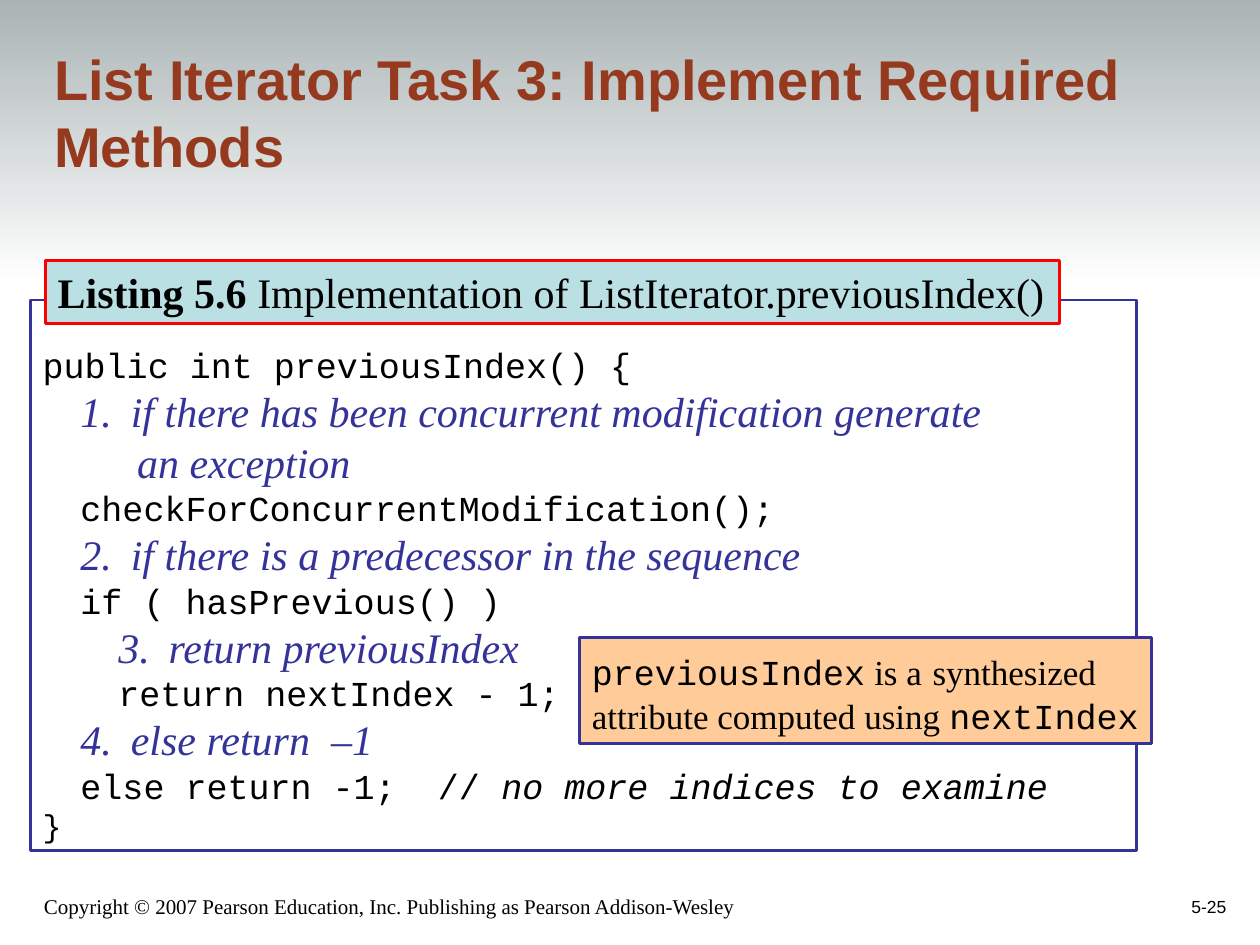
from dataclasses import dataclass

from pptx import Presentation
from pptx.dml.color import RGBColor
from pptx.enum.shapes import MSO_SHAPE
from pptx.enum.text import MSO_ANCHOR, PP_ALIGN
from pptx.util import Inches, Pt

RECT = MSO_SHAPE.RECTANGLE
TOP, BOTTOM = MSO_ANCHOR.TOP, MSO_ANCHOR.BOTTOM
LEFT, RIGHT = PP_ALIGN.LEFT, PP_ALIGN.RIGHT
TITLE_ONLY = 5


@dataclass(frozen=True)
class Theme:
    sans: str = "Arial"
    serif: str = "Times New Roman"
    mono: str = "Courier New"
    black: str = "000000"
    rust: str = "953A1F"
    blue: str = "333399"
    red: str = "FF0000"
    aqua: str = "BBE0E3"
    peach: str = "FFCC99"
    grey: str = "A7B1B2"
    white: str = "FFFFFF"
    title: int = 32
    step: int = 24
    code: int = 20
    small: int = 18
    foot: int = 12
    page: int = 10


T = Theme()


@dataclass(frozen=True)
class Span:
    text: str
    size: float
    font: str
    color: str = T.black
    bold: bool = False
    italic: bool = False


@dataclass(frozen=True)
class Line:
    spans: tuple[Span, ...]
    indent: float = 0


@dataclass(frozen=True)
class Box:
    left: float
    top: float
    width: float
    height: float
    lines: tuple[Line, ...]
    edge: str
    fill: str = ""
    inset: float = 0.05
    wrap: bool = False


def code(text: str, level: int = 0, note: str = "") -> Line:
    spans = [Span(text, T.code, T.mono)]
    if level:
        spans.insert(0, Span("  " * level, T.small, T.mono))
    if note:
        spans.append(Span(note, T.code, T.mono, italic=True))
    return Line(tuple(spans))


def prose(text: str) -> Span:
    return Span(text, T.step, T.serif, T.blue, italic=True)


def step(mark: str, text: str, level: int = 1) -> Line:
    gap = Span(" ", T.small, T.mono, italic=True)
    return Line((prose(mark), gap, prose(text)), 0.3 * level)


def write(frame, lines: tuple[Line, ...], anchor=TOP, align=LEFT) -> None:
    frame.vertical_anchor = anchor
    for i, line in enumerate(lines):
        para = frame.paragraphs[0] if i == 0 else frame.add_paragraph()
        para.alignment = align
        if line.indent:
            para._p.get_or_add_pPr().set("marL", str(Inches(line.indent)))
        for span in line.spans:
            run = para.add_run()
            run.text = span.text
            font = run.font
            font.name, font.size = span.font, Pt(span.size)
            font.bold, font.italic = span.bold, span.italic
            font.color.rgb = RGBColor.from_string(span.color)


def draw_box(slide, box: Box) -> None:
    shape = slide.shapes.add_shape(
        RECT, *map(Inches, (box.left, box.top, box.width, box.height)))
    shape.shadow.inherit = False
    if box.fill:
        shape.fill.solid()
        shape.fill.fore_color.rgb = RGBColor.from_string(box.fill)
    else:
        shape.fill.background()
    shape.line.color.rgb = RGBColor.from_string(box.edge)
    shape.line.width = Pt(1.5)
    frame = shape.text_frame
    frame.word_wrap = box.wrap
    frame.margin_top = Inches(box.inset)
    write(frame, box.lines)


def draw_band(slide) -> None:
    band = slide.shapes.add_shape(
        RECT, 0, Inches(-0.08), Inches(10), Inches(2.33))
    band.shadow.inherit = False
    band.line.fill.background()
    band.fill.gradient()
    band.fill.gradient_angle = 270
    for stop, color in zip(band.fill.gradient_stops, (T.grey, T.white)):
        stop.color.rgb = RGBColor.from_string(color)


def draw_note(slide, place: tuple[float, ...], span: Span, align=LEFT) -> None:
    frame = slide.shapes.add_textbox(*map(Inches, place)).text_frame
    frame.word_wrap = True
    write(frame, (Line((span,)),), BOTTOM, align)


def draw_title(slide, text: str) -> None:
    title = slide.shapes.title
    title.left, title.top = Inches(0.33), Inches(0.38)
    title.width, title.height = Inches(8.71), Inches(1.09)
    span = Span(text, T.title, T.sans, T.rust, bold=True)
    write(title.text_frame, (Line((span,)),), BOTTOM)
    # Bring the title in front of the band
    slide.shapes._spTree.append(title._element)


LISTING = Box(0.24, 2.38, 8.78, 4.37, (
    code("public int previousIndex() {"),
    step("1.", "if there has been concurrent modification generate"),
    Line((prose("an exception"),), 0.75),
    code("checkForConcurrentModification();", 1),
    step("2.", "if there is a predecessor in the sequence"),
    code("if ( hasPrevious() )", 1),
    step("3.", "return previousIndex", 2),
    code("return nextIndex - 1;", 2),
    step("4.", "else return  –1"),
    code("else return -1;  //", 1, " no more indices to examine"),
    Line((Span("}", T.small, T.mono),)),
), T.blue, inset=0.35, wrap=True)

CALLOUT = Box(4.6, 5.06, 4.54, 0.84, (
    Line((Span("previousIndex", T.code, T.mono),
          Span(" is a", T.code, T.serif),
          Span(" ", T.step, T.serif),
          Span("synthesized", T.code, T.serif))),
    Line((Span("attribute computed using ", T.code, T.serif),
          Span("nextIndex", T.code, T.mono))),
), T.blue, T.peach)

LABEL = Box(0.36, 2.07, 8.05, 0.5, (
    Line((Span("Listing 5.6 ", T.step, T.serif, bold=True),
          Span("Implementation of ListIterator.previousIndex()",
               T.step, T.serif))),
), T.red, T.aqua)


def main() -> None:
    deck = Presentation()
    deck.slide_width, deck.slide_height = Inches(10), Inches(7.5)
    slide = deck.slides.add_slide(deck.slide_layouts[TITLE_ONLY])

    # Backdrop and footer
    draw_band(slide)
    draw_note(slide, (0.25, 6.92, 6.08, 0.42), Span(
        "Copyright © 2007 Pearson Education, Inc. Publishing as Pearson Addison-Wesley",
        T.foot, T.serif))
    draw_note(slide, (7.75, 6.83, 2.08, 0.5),
              Span("5-25", T.page, T.sans), RIGHT)

    # Title, then the listing with its callout and label
    draw_title(slide, "List Iterator Task 3: Implement Required Methods")
    for box in (LISTING, CALLOUT, LABEL):
        draw_box(slide, box)

    deck.save("out.pptx")


if __name__ == "__main__":
    main()
